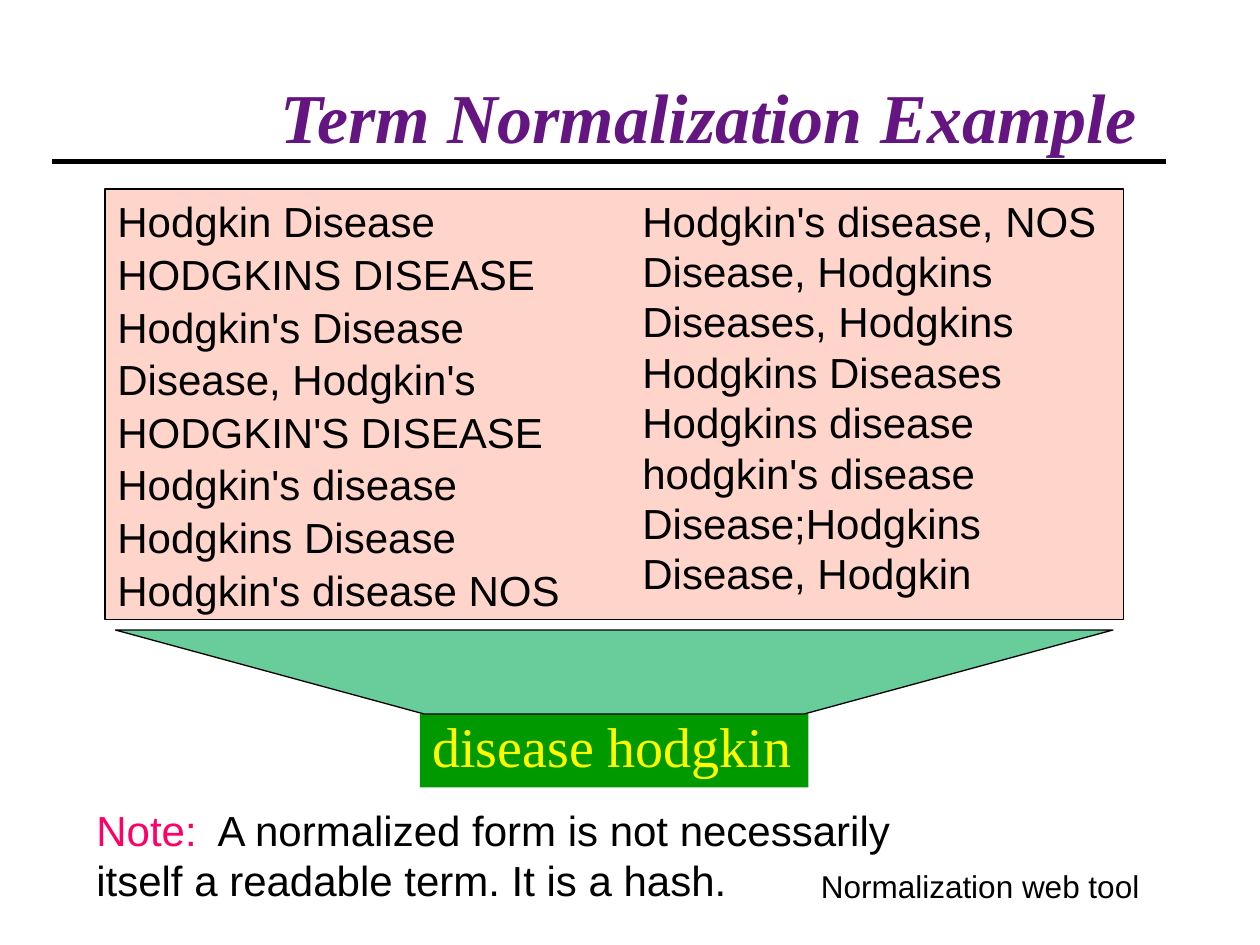
from dataclasses import dataclass

from lxml import etree
from pptx import Presentation
from pptx.dml.color import RGBColor
from pptx.enum.shapes import MSO_CONNECTOR, MSO_SHAPE
from pptx.enum.text import MSO_ANCHOR, PP_ALIGN
from pptx.oxml.ns import qn
from pptx.util import Inches, Length, Pt

RECTANGLE = MSO_SHAPE.RECTANGLE
STRAIGHT = MSO_CONNECTOR.STRAIGHT
TOP, MIDDLE = MSO_ANCHOR.TOP, MSO_ANCHOR.MIDDLE
LEFT, CENTER = PP_ALIGN.LEFT, PP_ALIGN.CENTER

BLACK = RGBColor(0x00, 0x00, 0x00)
PURPLE = RGBColor(0x65, 0x15, 0x81)
PINK = RGBColor(0xFF, 0xD5, 0xCB)
MINT = RGBColor(0x69, 0xCD, 0x9B)
GREEN = RGBColor(0x00, 0x99, 0x00)
YELLOW = RGBColor(0xFF, 0xFF, 0x00)
RED = RGBColor(0xFF, 0x00, 0x66)

SANS, SERIF = "Arial", "Times New Roman"
BODY = {"name": SANS, "size": Pt(24), "color": BLACK}
LINK = {**BODY, "size": Pt(18)}
NOTE_LABEL = {**BODY, "color": RED}
RESULT = {"name": SERIF, "size": Pt(32), "color": YELLOW}
TITLE = {"name": SERIF, "size": Pt(40), "color": PURPLE, "bold": True, "italic": True}

SLIDE_COLUMNS, SLIDE_ROWS = 120, 90  # grid of twelve cells to the inch

LEFT_TERMS = (
    "Hodgkin Disease", "HODGKINS DISEASE", "Hodgkin's Disease", "Disease, Hodgkin's",
    "HODGKIN'S DISEASE", "Hodgkin's disease", "Hodgkins Disease", "Hodgkin's disease NOS",
)
RIGHT_TERMS = (
    "Hodgkin's disease, NOS", "Disease, Hodgkins", "Diseases, Hodgkins", "Hodgkins Diseases",
    "Hodgkins disease", "hodgkin's disease", "Disease;Hodgkins", "Disease, Hodgkin",
)


def cells(count: float) -> Length:
    return Inches(count / 12)


@dataclass(frozen=True)
class Area:
    column: float
    row: float
    columns: float
    rows: float

    def lengths(self) -> tuple[Length, ...]:
        return tuple(cells(n) for n in (self.column, self.row, self.columns, self.rows))


@dataclass(frozen=True)
class TextBlock:
    """Paragraphs of (text, font format) runs in one area."""
    area: Area
    paragraphs: tuple
    line_spacing: float = 1.0
    space_before: float = 0
    alignment: PP_ALIGN = LEFT
    anchor: MSO_ANCHOR = TOP
    left_inset: float = 0.1
    top_inset: float = 0.05
    fill: RGBColor | None = None


def list_paragraphs(terms: tuple) -> tuple:
    return tuple(((term, BODY),) for term in terms)


PANEL = Area(10, 18, 97, 41)
FUNNEL = ((11, 60), (106, 60), (76.6, 68), (40.4, 68))
RULE_ROW, RULE_START, RULE_END = 15.4, 111, 5

TEXT_BLOCKS = (
    TextBlock(Area(10, 19, 49, 39), list_paragraphs(LEFT_TERMS),
              line_spacing=0.8, space_before=7),
    TextBlock(Area(40, 68, 37, 7), ((("disease hodgkin", RESULT),),),
              line_spacing=0.8, top_inset=0.08, fill=GREEN),
    TextBlock(Area(8, 76, 85, 23), ((
        ("Note:", NOTE_LABEL),
        ("  A normalized form is not necessarily itself a readable term. It is a hash.", BODY),
    ),)),
    TextBlock(Area(77, 82, 40.8, 4.8), ((("Normalization web tool", LINK),),)),
    TextBlock(Area(19, 3, 95, 15), ((("Term Normalization Example", TITLE),),),
              alignment=CENTER, anchor=MIDDLE, left_inset=0.27, top_inset=0.13),
    TextBlock(Area(60, 18, 46, 39.6), list_paragraphs(RIGHT_TERMS)),
)


def apply_font(font, font_format: dict) -> None:
    for name, value in font_format.items():
        if name == "color":
            font.color.rgb = value
        else:
            setattr(font, name, value)


def add_text(slide, block: TextBlock) -> None:
    box = slide.shapes.add_textbox(*block.area.lengths())
    if block.fill is not None:
        box.fill.solid()
        box.fill.fore_color.rgb = block.fill
    frame = box.text_frame
    frame_format = {
        "word_wrap": True, "vertical_anchor": block.anchor,
        "margin_left": Inches(block.left_inset), "margin_right": Inches(0.1),
        "margin_top": Inches(block.top_inset), "margin_bottom": Inches(0.05),
    }
    for name, value in frame_format.items():
        setattr(frame, name, value)
    for index, runs in enumerate(block.paragraphs):
        paragraph = frame.add_paragraph() if index else frame.paragraphs[0]
        paragraph.alignment = block.alignment
        paragraph.line_spacing = block.line_spacing
        paragraph.space_before = Pt(block.space_before if index else 0)
        for text, font_format in runs:
            run = paragraph.add_run()
            run.text = text
            apply_font(run.font, font_format)


def style_outlined(shape, fill: RGBColor) -> None:
    shape.shadow.inherit = False
    shape.fill.solid()
    shape.fill.fore_color.rgb = fill
    shape.line.color.rgb = BLACK
    shape.line.width = Pt(0.75)


def add_title_rule(slide) -> None:
    rule = slide.shapes.add_connector(
        STRAIGHT, cells(RULE_START), cells(RULE_ROW), cells(RULE_END), cells(RULE_ROW))
    rule.line.color.rgb = BLACK
    rule.line.width = Pt(3)
    etree.SubElement(rule.element.spPr, qn("a:effectLst"))


def add_funnel(slide) -> None:
    corners = [(cells(column), cells(row)) for column, row in FUNNEL]
    builder = slide.shapes.build_freeform(*corners[0])
    builder.add_line_segments(corners[1:], close=True)
    style_outlined(builder.convert_to_shape(), MINT)


def main() -> None:
    presentation = Presentation()
    presentation.slide_width = cells(SLIDE_COLUMNS)
    presentation.slide_height = cells(SLIDE_ROWS)
    slide = presentation.slides.add_slide(presentation.slide_layouts[6])

    style_outlined(slide.shapes.add_shape(RECTANGLE, *PANEL.lengths()), PINK)
    for block in TEXT_BLOCKS:
        add_text(slide, block)
    add_title_rule(slide)
    add_funnel(slide)
    presentation.save("out.pptx")


if __name__ == "__main__":
    main()
